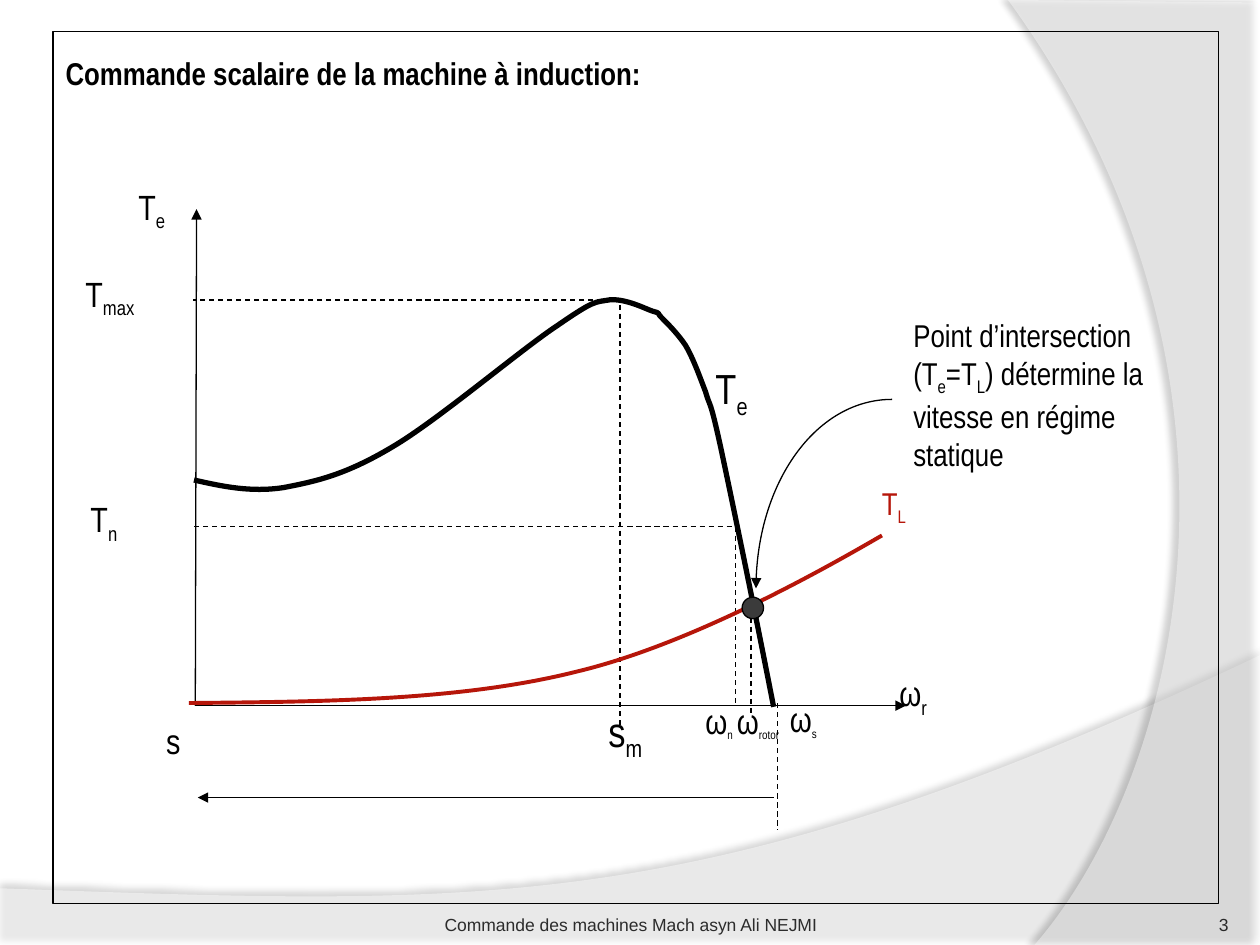
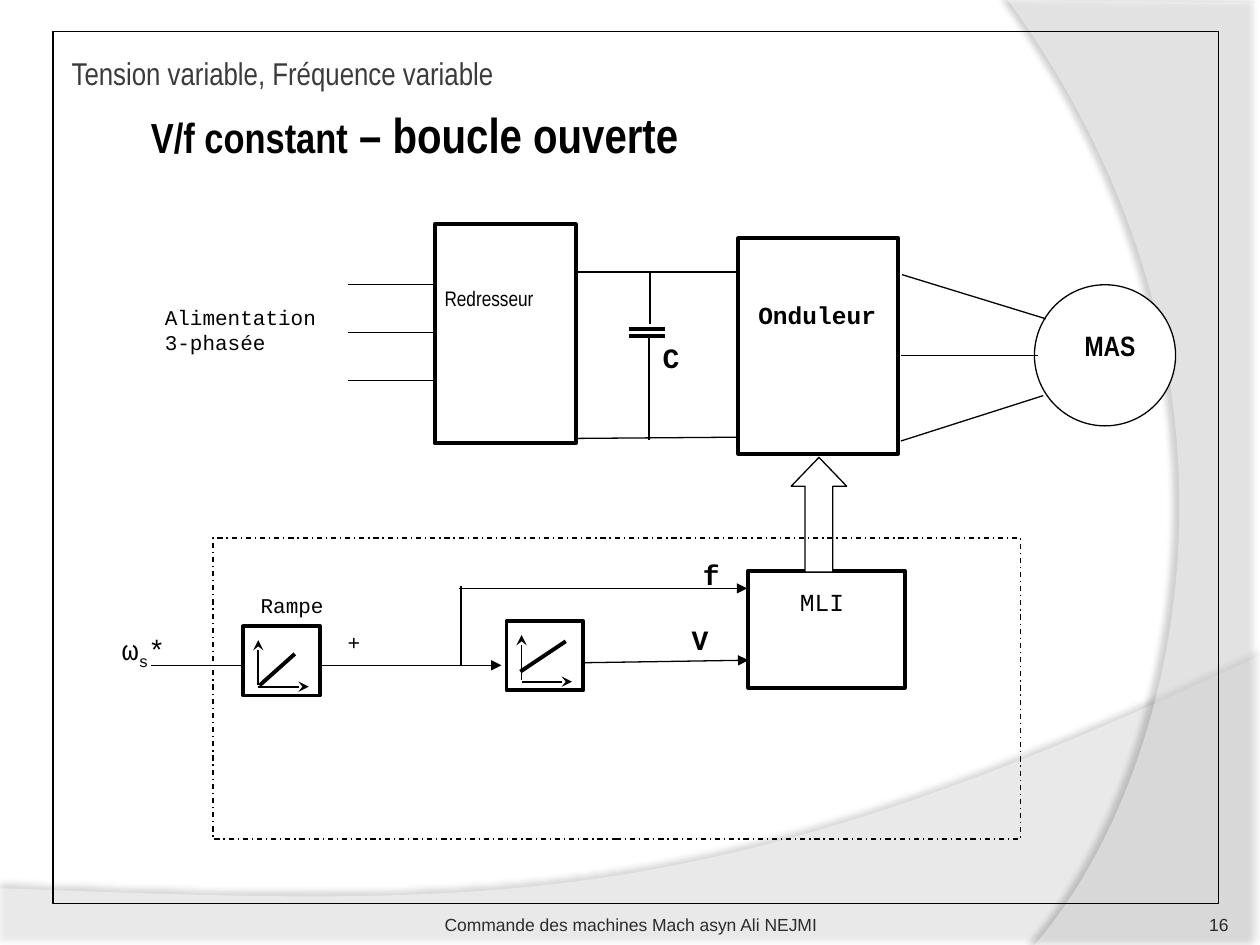
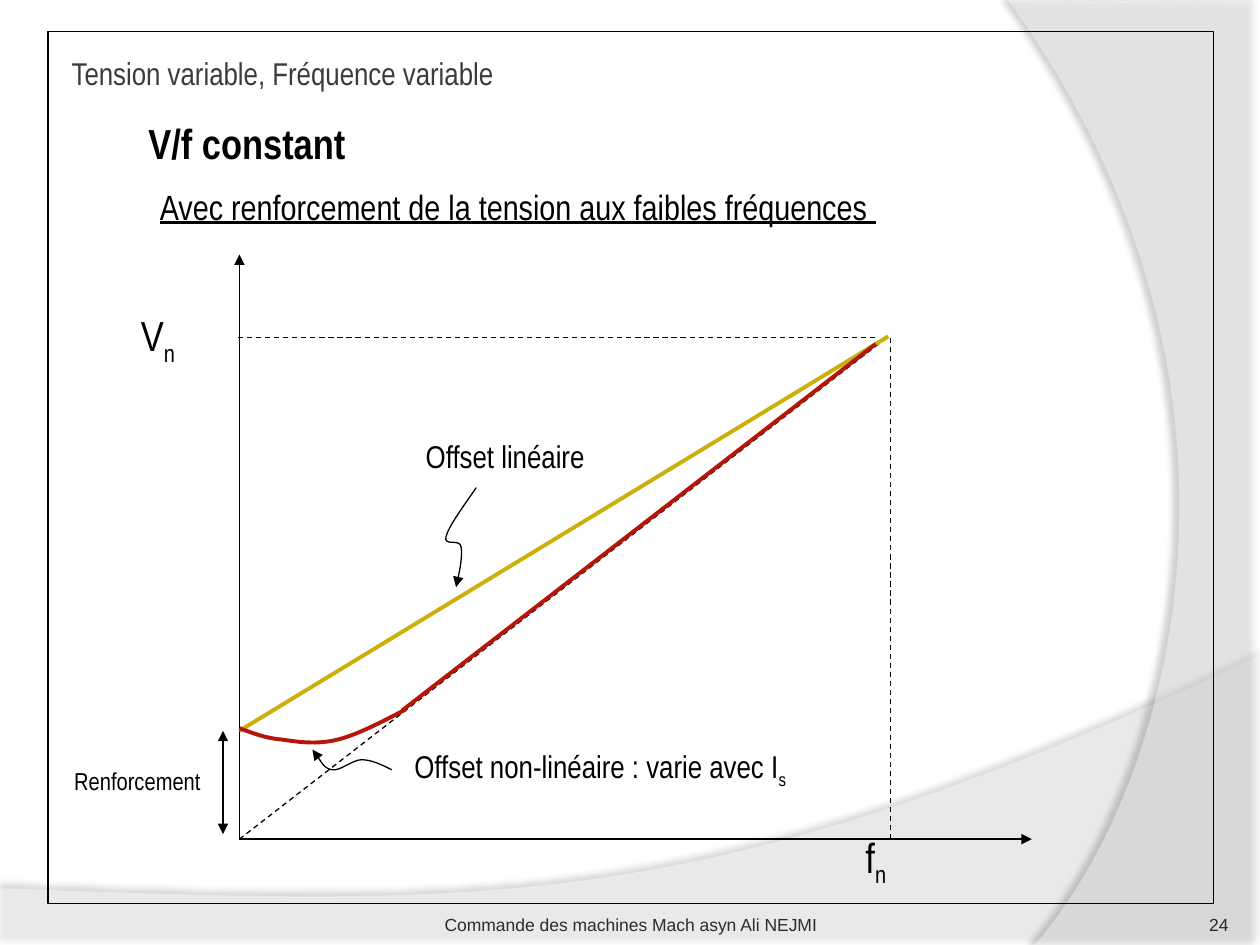
import pptx
import pptx.dml.color
import pptx.enum.dml
import pptx.enum.shapes
import pptx.enum.text
import pptx.oxml
import pptx.oxml.ns
import pptx.util
from lxml import etree

Inches = pptx.util.Inches
Pt = pptx.util.Pt
qn = pptx.oxml.ns.qn
SHAPE = pptx.enum.shapes.MSO_SHAPE
DASH = pptx.enum.dml.MSO_LINE.DASH
DASH_DOT = pptx.enum.dml.MSO_LINE.DASH_DOT
ALIGN = pptx.enum.text.PP_ALIGN
ANCHOR = pptx.enum.text.MSO_ANCHOR

BLACK, WHITE, DARK = "000000", "FFFFFF", "3B3B3B"
RED, GOLD = "B6160A", "CCAF0A"
PAGE_GREY, FOOTER_GREY = "292929", "2C2C2C"
NARROW, MONO, SANS = "Arial Narrow", "Courier New", "Arial"
TITLE_BOX = (0.47, 0.36, 6.31, 0.44)
FOOTER = "Commande des machines Mach asyn Ali NEJMI"
SUBTITLE = "Tension variable, Fréquence variable"


def rgb(color):
    """Turn a hex string into a colour."""
    return pptx.dml.color.RGBColor.from_string(color)


def style_line(line, color, width, dash=None, head=None, tail=None):
    """Set the colour, width, dash and arrowheads of a line."""
    line.color.rgb = rgb(color)
    line.width = Pt(width)
    if dash:
        line.dash_style = dash
    for end, arrow in (("a:headEnd", head), ("a:tailEnd", tail)):
        if arrow:
            etree.SubElement(line._get_or_add_ln(), qn(end)).set("type", arrow)


def connect(slide, start, end, color=BLACK, width=0.75, **ends):
    """Draw a straight line between two points."""
    line = slide.shapes.add_connector(
        pptx.enum.shapes.MSO_CONNECTOR.STRAIGHT, *map(Inches, start + end))
    style_line(line.line, color, width, **ends)
    etree.SubElement(line._element.spPr, qn("a:effectLst"))


def outline(slide, start, segments, closed=False):
    """Build a freeform from lines (one point) and curves (three points)."""
    builder = slide.shapes.build_freeform(*map(Inches, start), scale=1.0)
    points = [point for segment in segments for point in segment]
    builder.add_line_segments([tuple(map(Inches, p)) for p in points], close=closed)
    shape = builder.convert_to_shape()
    shape.shadow.inherit = False
    steps = iter(list(shape._element.iter(qn("a:lnTo"))))
    for segment in segments:
        group = [next(steps) for _ in segment]
        if len(group) == 3:
            curve = etree.Element(qn("a:cubicBezTo"))
            group[0].addprevious(curve)
            for step in group:
                curve.append(step[0])
                step.getparent().remove(step)
    return shape


def curve(slide, start, segments, color=BLACK, width=0.75, tail=None):
    """Draw an open curve."""
    shape = outline(slide, start, segments)
    shape.fill.background()
    style_line(shape.line, color, width, tail=tail)


def veil(slide, start, segments, opacity, shade, distance, direction):
    """Draw a translucent background band with a soft shadow."""
    band = outline(slide, start, segments, closed=True)
    band.fill.solid()
    band.fill.fore_color.rgb = rgb(WHITE)
    band.line.fill.background()
    fill_color = band._element.spPr.find(qn("a:solidFill"))[0]
    etree.SubElement(fill_color, qn("a:alpha")).set("val", str(opacity * 1000))
    shadow = etree.SubElement(
        band._element.spPr.find(qn("a:effectLst")), qn("a:outerShdw"),
        blurRad=str(Pt(4)), dist=str(Pt(distance)), dir=str(direction * 60000),
        algn="ctr", rotWithShape="0")
    shadow_color = etree.SubElement(shadow, qn("a:srgbClr"), val=BLACK)
    etree.SubElement(shadow_color, qn("a:alpha")).set("val", str(shade * 1000))


def block(slide, kind, box, fill=None, width=0.75, color=BLACK, dash=None):
    """Draw a preset shape."""
    shape = slide.shapes.add_shape(kind, *map(Inches, box))
    shape.shadow.inherit = False
    if fill:
        shape.fill.solid()
        shape.fill.fore_color.rgb = rgb(fill)
    else:
        shape.fill.background()
    style_line(shape.line, color, width, dash)
    return shape


def label(slide, text, box, size, font=NARROW, color=BLACK, bold=False,
          underline=False, sub_size=None, align=ALIGN.LEFT,
          anchor=ANCHOR.TOP, insets=(0.1, 0.05, 0.1, 0.05)):
    """Write a text in which every second part between bars is a subscript."""
    frame = slide.shapes.add_textbox(*map(Inches, box)).text_frame
    frame.word_wrap = True
    frame.vertical_anchor = anchor
    (frame.margin_left, frame.margin_top,
     frame.margin_right, frame.margin_bottom) = map(Inches, insets)
    paragraph = frame.paragraphs[0]
    paragraph.alignment = align
    for index, part in enumerate(text.split("|")):
        if part:
            run = paragraph.add_run()
            run.text = part
            if index % 2:
                run._r.get_or_add_rPr().set("baseline", "-25000")
                if sub_size:
                    run.font.size = Pt(sub_size)
    paragraph.font.name = font
    paragraph.font.size = Pt(size)
    paragraph.font.bold = bold
    paragraph.font.underline = underline
    paragraph.font.color.rgb = rgb(color)
    return paragraph


def heading(slide, ending, left, top):
    """Write the V/f heading with a larger ending."""
    paragraph = label(slide, "V/f constant", (left, top, 6.5, 0.57), 24, bold=True)
    run = paragraph.add_run()
    run.text = ending
    run.font.size = Pt(28)


def subtitle(slide):
    """Write the section line at the top."""
    label(slide, SUBTITLE, TITLE_BOX, 18, color=DARK, anchor=ANCHOR.MIDDLE)


def start_slide(deck, number, frame_left=0.42):
    """Add a slide with its background, frame, page number and footer."""
    slide = deck.slides.add_slide(deck.slide_layouts[6])
    veil(slide, (0, 7.05),
         [[(0, 7.51)], [(10, 7.51)], [(10, 5.2)],
          [(5.59, 7.29), (3.91, 7.19), (0, 7.05)]], 45, 35, 3.5, 270)
    veil(slide, (10, 0.02),
         [[(10, 7.5)], [(8.21, 7.5)],
          [(9.35, 6.19), (10.18, 3), (8, 0)]], 40, 45, 4, 180)
    block(slide, SHAPE.RECTANGLE, (frame_left, 0.25, 9.25, 6.92))
    label(slide, str(number), (8.92, 7.02, 0.83, 0.4), 10, SANS, PAGE_GREY,
          align=ALIGN.RIGHT, anchor=ANCHOR.BOTTOM, insets=(0, 0, 0, 0))
    label(slide, FOOTER, (3.42, 7.02, 3.17, 0.4), 10, SANS, FOOTER_GREY,
          align=ALIGN.CENTER, anchor=ANCHOR.BOTTOM, insets=(0, 0.05, 0, 0))
    return slide


def ramp_icon(slide, left, top, slope_start, slope_end):
    """Draw a box holding a small ramp graph."""
    def at(x, y):
        return (left + x, top + y)

    block(slide, SHAPE.RECTANGLE, (left, top, 0.61, 0.55), WHITE, 2.25)
    connect(slide, at(0.12, 0.11), at(0.12, 0.47), width=1, head="stealth")
    connect(slide, at(0.12, 0.48), at(0.52, 0.48), width=1, tail="stealth")
    connect(slide, at(*slope_start), at(*slope_end), width=2.25)


def torque_slide(deck):
    """Torque against speed, with the operating point."""
    slide = start_slide(deck, 3)
    label(slide, "Commande scalaire de la machine à induction:", TITLE_BOX, 18,
          bold=True, anchor=ANCHOR.MIDDLE, insets=(0.05,) * 4)

    origin = (1.55, 5.6)
    for start, end in ((origin, (1.56, 1.66)), (origin, (7.19, 5.6)),
                       ((6.14, 6.33), (1.57, 6.33))):
        connect(slide, start, end, tail="triangle")
    curve(slide, (1.54, 3.81), [
        [(1.76, 3.86), (1.99, 3.91), (2.25, 3.87)],
        [(2.51, 3.82), (2.74, 3.77), (3.11, 3.55)],
        [(3.47, 3.34), (4.14, 2.77), (4.43, 2.58)],
        [(4.72, 2.38), (4.72, 2.4), (4.84, 2.38)],
        [(4.97, 2.37), (5.12, 2.45), (5.18, 2.47)],
        [(5.25, 2.49), (5.21, 2.48), (5.25, 2.52)],
        [(5.3, 2.57), (5.38, 2.65), (5.44, 2.74)],
        [(5.5, 2.84), (5.55, 2.98), (5.6, 3.11)],
        [(5.64, 3.25), (5.63, 3.14), (5.72, 3.55)],
        [(5.81, 3.97), (5.98, 4.79), (6.14, 5.61)]], width=3)
    for start, end in (((4.85, 2.38), (1.53, 2.38)), ((6.17, 5.58), (6.17, 6.59)),
                       ((1.54, 4.18), (5.84, 4.18)), ((5.84, 4.18), (5.84, 5.61)),
                       ((4.92, 2.42), (4.92, 5.75)), ((5.96, 4.83), (5.96, 5.66))):
        connect(slide, start, end, dash=DASH)

    for text, left, top in (("ω|r", 7.04, 5.28), ("s", 1.22, 5.66),
                            ("T|n", 0.62, 3.9), ("T|max", 0.58, 2.11),
                            ("T|e", 1, 1.42)):
        label(slide, text, (left, top, 1.16, 0.7), 20)
    for text, left, top in (("ω|s", 6.17, 5.49), ("ω|n", 5.5, 5.5),
                            ("ω|rotor", 5.75, 5.5)):
        label(slide, text, (left, top, 0.67, 0.68), 20, sub_size=12)
    label(slide, "s|m", (4.73, 5.55, 0.65, 0.5), 24)

    curve(slide, (1.5, 5.58), [
        [(2.58, 5.57), (3.67, 5.56), (4.58, 5.33)],
        [(5.5, 5.11), (6.57, 4.5), (7, 4.25)]], RED, 2.25)
    label(slide, "T|L", (6.9, 3.79, 0.46, 0.4), 18, color=RED)
    label(slide, "T|e", (5.58, 2.83, 0.58, 0.5), 24)
    curve(slide, (7.08, 3.17), [[(6.49, 3.17), (6, 3.84), (6, 4.67)]],
          tail="triangle")
    label(slide, "Point d’intersection (T|e|=T|L|) détermine la vitesse en régime statique",
          (7.15, 2.46, 2.52, 1.31), 18)
    block(slide, SHAPE.OVAL, (5.89, 4.74, 0.17, 0.17), DARK)


def open_loop_slide(deck):
    """Power stage and open-loop V/f control."""
    slide = start_slide(deck, 16)
    heading(slide, " – boucle ouverte", 1.1, 0.78)
    subtitle(slide)

    block(slide, SHAPE.OVAL, (8.21, 2.26, 1.12, 1.12), WHITE)
    for start, end in (((5.84, 2.16), (4.59, 2.16)), ((5.87, 3.47), (4.52, 3.48)),
                       ((5.15, 2.67), (5.15, 3.49)), ((5.16, 2.17), (5.16, 2.57)),
                       ((7.16, 2.18), (8.3, 2.53)), ((7.15, 2.82), (8.24, 2.82)),
                       ((7.15, 3.5), (8.28, 3.14))):
        connect(slide, start, end)
    for phase in range(3):
        height = 2.26 + 0.38 * phase
        connect(slide, (2.76, height), (3.45, height))
    for plate in (2.61, 2.67):
        connect(slide, (4.99, plate), (5.28, plate), width=2.25)

    for box in ((5.86, 1.89, 1.27, 1.71), (3.45, 1.78, 1.12, 1.74),
                (5.94, 4.53, 1.24, 0.93)):
        block(slide, SHAPE.RECTANGLE, box, WHITE, 2.25)
    pulses = block(slide, SHAPE.UP_ARROW, (6.28, 3.63, 0.44, 0.91), WHITE)
    pulses.adjustments[0] = 0.5
    pulses.adjustments[1] = 0.52
    block(slide, SHAPE.RECTANGLE, (1.69, 4.27, 6.41, 2.39), dash=DASH_DOT)

    connect(slide, (3.66, 5.28), (3.66, 4.65))
    for start, end in (((1.2, 5.28), (3.98, 5.28)), ((3.64, 4.67), (5.93, 4.67)),
                       ((4.63, 5.26), (5.94, 5.24))):
        connect(slide, start, end, tail="triangle")
    ramp_icon(slide, 1.93, 4.97, (0.13, 0.47), (0.41, 0.22))
    ramp_icon(slide, 4.02, 4.93, (0.11, 0.4), (0.47, 0.16))

    label(slide, "Redresseur", (3.43, 2.22, 1.17, 0.42), 12)
    label(slide, "Onduleur", (5.92, 2.33, 1.16, 0.56), 14, MONO, bold=True)
    label(slide, "MAS", (8.51, 2.56, 0.82, 0.56), 16, bold=True)
    label(slide, "MLI", (5.86, 4.61, 1.33, 0.98), 14, MONO, align=ALIGN.CENTER)
    label(slide, "ω|s|*", (0.87, 4.97, 0.67, 0.4), 16, MONO)
    for text, box in (("Alimentation 3-phasée", (1.21, 2.37, 1.57, 0.66)),
                      ("+", (2.66, 4.95, 0.62, 0.56)),
                      ("Rampe", (1.97, 4.65, 0.79, 0.32))):
        label(slide, text, box, 12, MONO)
    for text, left, top in (("f", 5.48, 4.38), ("V", 5.39, 4.89), ("C", 5.16, 2.65)):
        label(slide, text, (left, top, 0.62, 0.56), 16, MONO, bold=True)


def boost_slide(deck):
    """Voltage against frequency with a boost at low frequencies."""
    slide = start_slide(deck, 24, frame_left=0.38)
    label(slide, "Avec renforcement de la tension aux faibles fréquences ",
          (1.17, 1.42, 7.17, 0.44), 20, underline=True)
    heading(slide, " ", 1.08, 0.83)
    subtitle(slide)

    origin, nominal = (1.9, 6.66), (7.05, 2.67)
    for end in ((1.9, 2.02), (8.19, 6.66)):
        connect(slide, origin, end, tail="triangle")
    connect(slide, origin, nominal, dash=DASH)
    connect(slide, (1.9, 5.8), nominal, GOLD, 2.25)
    curve(slide, (1.9, 5.78), [
        [(2.01, 5.82), (2.11, 5.86), (2.24, 5.87)],
        [(2.37, 5.89), (2.52, 5.91), (2.68, 5.87)],
        [(2.84, 5.83), (3.03, 5.73), (3.22, 5.63)]], RED, 2.25)
    connect(slide, (3.19, 5.64), (6.95, 2.73), RED, 2.25)
    connect(slide, (1.89, 2.68), (6.96, 2.68), dash=DASH)
    connect(slide, (7.07, 2.68), (7.07, 6.66), dash=DASH)
    connect(slide, (1.77, 5.8), (1.77, 6.62), head="triangle", tail="triangle")

    curve(slide, (3.78, 3.87), [
        [(3.67, 4.03), (3.56, 4.18), (3.54, 4.26)],
        [(3.52, 4.34), (3.65, 4.27), (3.66, 4.34)],
        [(3.67, 4.41), (3.65, 4.53), (3.62, 4.66)]], tail="triangle")
    curve(slide, (3.11, 6.11), [
        [(3.03, 6.07), (2.95, 6.03), (2.87, 6.03)],
        [(2.8, 6.03), (2.7, 6.12), (2.64, 6.11)],
        [(2.57, 6.1), (2.51, 5.98), (2.48, 5.95)]], tail="triangle")

    for text, box, size in (
            ("V|n", (1.02, 2.41, 0.56, 0.51), 24),
            ("f|n", (6.77, 6.55, 0.98, 0.5), 24),
            ("Offset linéaire", (3.28, 3.42, 1.65, 0.4), 18),
            ("Offset non-linéaire : varie avec I|s", (3.19, 5.88, 3.55, 0.4), 18),
            ("Renforcement", (0.49, 6.03, 1.32, 0.34), 14)):
        label(slide, text, box, size)


def main():
    """Build the deck and save it."""
    deck = pptx.Presentation()
    deck.slide_width = Inches(10)
    deck.slide_height = Inches(7.5)
    torque_slide(deck)
    open_loop_slide(deck)
    boost_slide(deck)
    deck.save("out.pptx")


if __name__ == "__main__":
    main()
